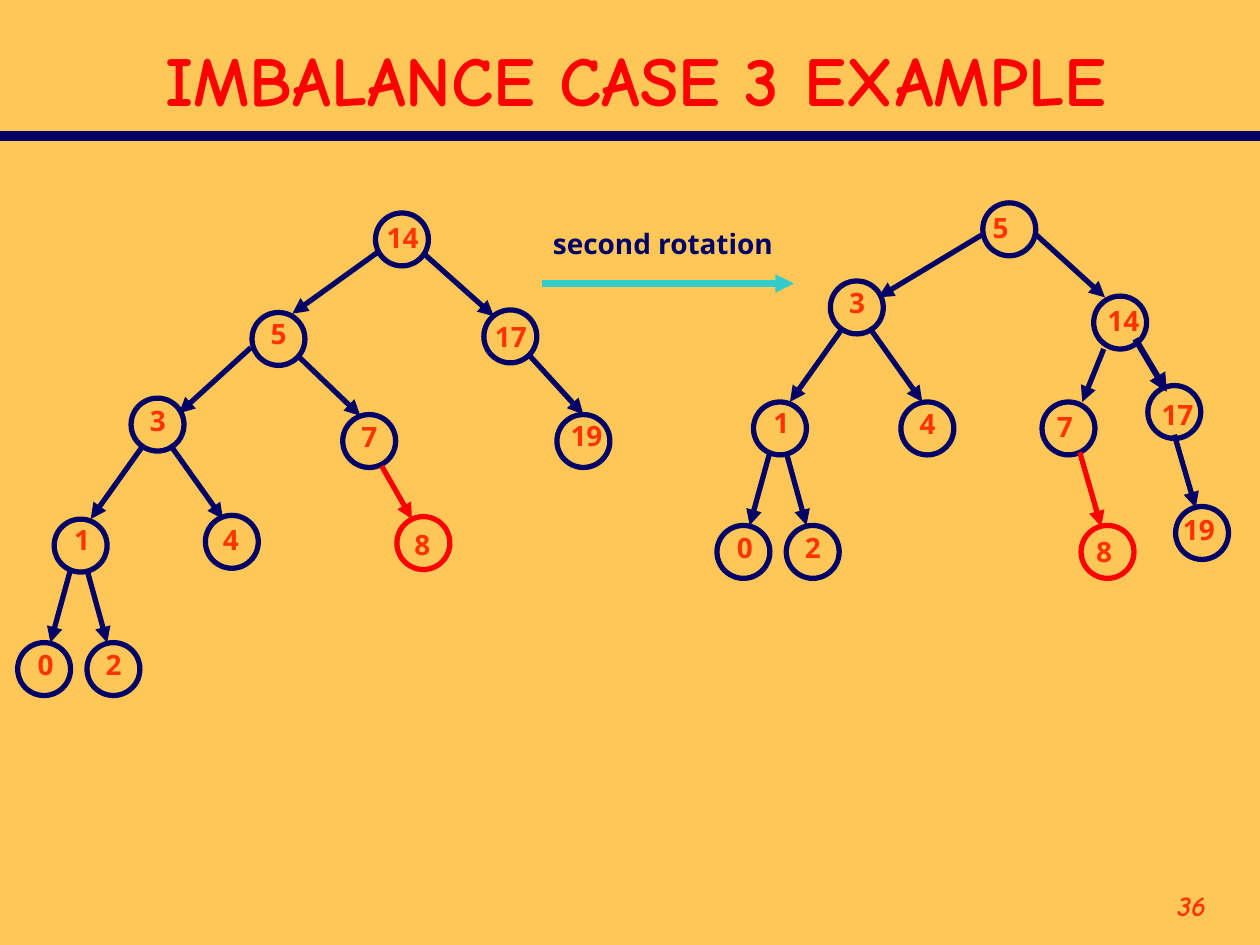
from lxml import etree
from pptx import Presentation
from pptx import util as u
from pptx.dml.color import RGBColor
from pptx.enum import shapes, text
from pptx.oxml import ns

PX = 9144  # 100 px to the inch
NAVY, RED, ORANGE, TEAL = "000066", "FF0000", "FF3300", "33CCCC"
SIZE = 42

# Node: value, left, top, label shift x, label shift y, colour
# Edge: from x, from y, to x, to y, colour, width
LOW_NODES = [
    ("3", 90, 0, 5, -1, NAVY), ("1", 29, 96, 6, -2, NAVY),
    ("0", 0, 194, 6, -1, NAVY), ("2", 55, 194, 5, -1, NAVY),
]
LOW_EDGES = [
    (100, 37, 58, 96, NAVY, 3), (121, 37, 163, 96, NAVY, 3),
    (42, 136, 26, 194, NAVY, 3), (55, 136, 71, 194, NAVY, 3),
]
OLD_NODES = [
    ("14", 284, 0, -1, 1, NAVY), ("5", 186, 79, 5, -2, NAVY),
    ("17", 370, 77, -1, 3, NAVY), ("7", 258, 160, 5, -1, NAVY),
    ("19", 428, 160, 1, -2, NAVY), ("4", 149, 240, 4, 1, NAVY),
    ("8", 301, 241, 4, 4, RED),
]
OLD_EDGES = [
    (286, 31, 218, 80, NAVY, 3), (322, 32, 378, 82, NAVY, 3),
    (185, 107, 128, 159, NAVY, 3), (224, 115, 272, 161, NAVY, 3),
    (407, 114, 449, 160, NAVY, 3), (289, 201, 313, 243, RED, 3),
]
NEW_NODES = [
    ("5", 211, 0, -2, 1, NAVY), ("14", 299, 74, 1, 1, NAVY),
    ("4", 146, 158, 5, -1, NAVY), ("7", 258, 158, 2, 1, NAVY),
    ("17", 342, 145, 1, 5, NAVY), ("8", 289, 256, 2, 2, RED),
    ("19", 364, 241, -4, 0, NAVY),
]
NEW_EDGES = [
    (211, 25, 128, 75, NAVY, 3), (253, 25, 308, 75, NAVY, 3),
    (307, 116, 290, 158, NAVY, 3), (332, 108, 357, 150, NAVY, 3.5),
    (363, 184, 380, 242, NAVY, 3), (288, 198, 305, 257, RED, 3),
]


def px(*vals):
    return [u.Emu(v * PX) for v in vals]


def rgb(code):
    return RGBColor.from_string(code)


def write(slide, words, box, size=16, font="Open Sans", color=ORANGE,
          italic=False, align=text.PP_ALIGN.LEFT,
          anchor=text.MSO_ANCHOR.TOP, wrap=True):
    frame = slide.shapes.add_textbox(*px(*box)).text_frame
    frame.word_wrap = wrap
    frame.vertical_anchor = anchor
    para = frame.paragraphs[0]
    para.alignment = align
    run = para.add_run()
    run.text = words
    face = run.font
    face.name, face.size = font, u.Pt(size)
    face.bold, face.italic = True, italic
    face.color.rgb = rgb(color)


def draw_line(slide, ends, color, width, head=True):
    line = slide.shapes.add_connector(shapes.MSO_CONNECTOR.STRAIGHT, *px(*ends))
    line.line.color.rgb = rgb(color)
    line.line.width = u.Pt(width)
    if head:
        etree.SubElement(line.line._get_or_add_ln(), ns.qn("a:tailEnd"),
                         type="triangle")
    etree.SubElement(line._element.spPr, ns.qn("a:effectLst"))


def draw_node(slide, value, x, y, dx, dy, color):
    ring = slide.shapes.add_shape(shapes.MSO_SHAPE.OVAL, *px(x, y, SIZE, SIZE))
    ring.shadow.inherit = False
    ring.fill.background()
    ring.line.color.rgb = rgb(color)
    ring.line.width = u.Pt(3)
    wide = 32 if len(value) == 1 else 45
    write(slide, value, (x + dx, y + dy, wide, 37), wrap=False)


def draw_tree(slide, left, top, nodes, edges):
    for value, x, y, *rest in nodes:
        draw_node(slide, value, left + x, top + y, *rest)
    for x1, y1, x2, y2, color, width in edges:
        ends = (left + x1, top + y1, left + x2, top + y2)
        draw_line(slide, ends, color, width)


def draw_frame(slide):
    draw_line(slide, (0, 108, 1000, 108), NAVY, 6, head=False)
    write(slide, "IMBALANCE CASE 3 EXAMPLE", (42, 25, 925, 75), size=40,
          font="Comic Neue", color=RED, align=text.PP_ALIGN.CENTER,
          anchor=text.MSO_ANCHOR.MIDDLE)
    write(slide, "36", (867, 700, 100, 50), font="Comic Neue", italic=True,
          align=text.PP_ALIGN.RIGHT)


def draw_step(slide, left, top):
    write(slide, "second rotation", (left, top, 195, 37), color=NAVY, wrap=False)
    draw_line(slide, (left + 1, top + 50, left + 201, top + 50), TEAL, 3.5)


def main():
    deck = Presentation()
    deck.slide_width, deck.slide_height = px(1000, 750)
    slide = deck.slides.add_slide(deck.slide_layouts[6])
    back = slide.background.fill
    back.solid()
    back.fore_color.rgb = rgb("FFC757")

    # Title, rule and page number
    draw_frame(slide)
    # Tree before the rotation
    draw_tree(slide, 14, 169, OLD_NODES, OLD_EDGES)
    draw_tree(slide, 14, 316, LOW_NODES, LOW_EDGES)
    # Step label and arrow
    draw_step(slide, 429, 175)
    # Tree after the rotation
    draw_tree(slide, 569, 161, NEW_NODES, NEW_EDGES)
    draw_tree(slide, 569, 223, LOW_NODES, LOW_EDGES)
    deck.save("out.pptx")


if __name__ == "__main__":
    main()
